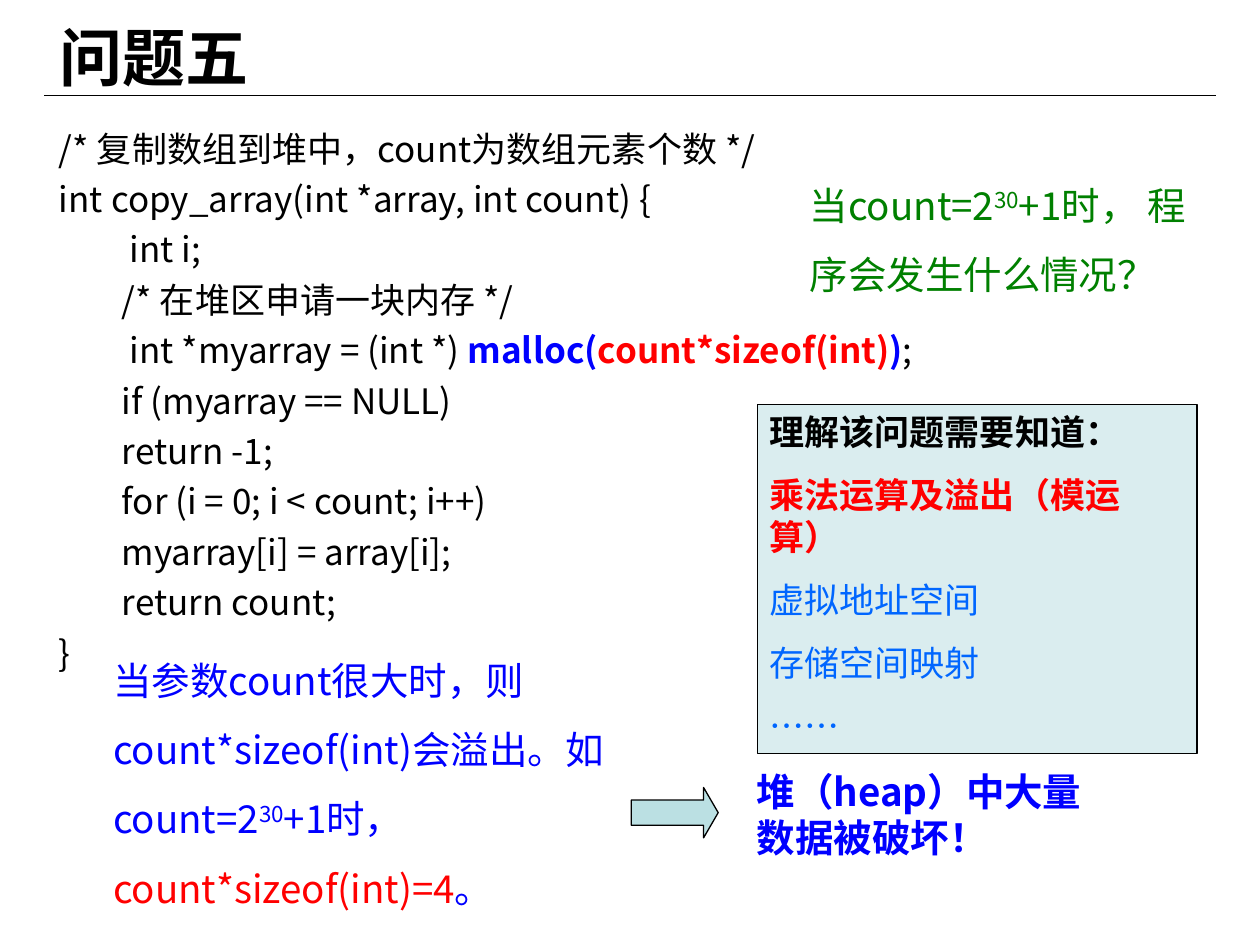
from lxml import etree
from pptx import Presentation
from pptx.dml.color import RGBColor
from pptx.enum import shapes, text
from pptx.oxml import ns
from pptx.util import Inches, Pt

COLORS = {
    "black": "000000", "blue": "0000FF", "red": "FF0000", "green": "008000",
    "sky": "0066FF", "panel": "DAEDEF", "arrow": "BBE0E3",
}
CJK_FONT = "Noto Sans CJK SC"

# Each code line: nesting level, then runs of (text, color, bold)
CODE = [
    (0, [("/* 复制数组到堆中，count为数组元素个数 */",)]),
    (0, [("int copy_array(int *array, int count) {",)]),
    (1, [(" int i;",)]),
    (1, [("/* 在堆区申请一块内存 */",)]),
    (1, [(" int *myarray = (int *) ",), ("malloc(", "blue", True),
         ("count*sizeof(int)", "red", True), (")", "blue", True), (";",)]),
    (1, [("if (myarray == NULL)",)]),
    (1, [("return -1;",)]),
    (1, [("for (i = 0; i < count; i++)",)]),
    (1, [("myarray[i] = array[i];",)]),
    (1, [("return count;",)]),
    (0, [("}",)]),
]
# Panel paragraphs: text, color, bold, font
TOPICS = [
    ("理解该问题需要知道：", "black", True, "Arial"),
    ("乘法运算及溢出（模运算）", "red", True, CJK_FONT),
    ("虚拟地址空间", "sky", False, CJK_FONT),
    ("存储空间映射", "sky", False, CJK_FONT),
    ("……", "sky", False, CJK_FONT),
]


def rgb(name):
    return RGBColor.from_string(COLORS[name])


def add_run(paragraph, content, color="black", bold=False, size=20,
            font=CJK_FONT, superscript=False):
    run = paragraph.add_run()
    run.text = content
    run.font.size = Pt(size)
    run.font.bold = bold
    run.font.color.rgb = rgb(color)
    run.font.name = font
    properties = run.font._element
    east_asian = etree.SubElement(properties, ns.qn("a:ea"))
    east_asian.set("typeface", CJK_FONT)
    if superscript:
        properties.set("baseline", "30000")


def add_text_box(slide, left, top, width, height, grow=True):
    box = slide.shapes.add_textbox(
        Inches(left), Inches(top), Inches(width), Inches(height))
    frame = box.text_frame
    frame.word_wrap = True
    if grow:
        frame.auto_size = text.MSO_AUTO_SIZE.SHAPE_TO_FIT_TEXT
        frame.vertical_anchor = text.MSO_ANCHOR.MIDDLE
    return frame


def add_note(slide, left, top, width, height, runs, spacing=1.5):
    """Add a one-paragraph remark of (text, color, bold, superscript) runs."""
    paragraph = add_text_box(slide, left, top, width, height).paragraphs[0]
    paragraph.line_spacing = spacing
    for content, color, bold, superscript in runs:
        add_run(paragraph, content, color, bold, 22, superscript=superscript)


def add_filled_shape(slide, kind, left, top, width, height, fill):
    shape = slide.shapes.add_shape(
        kind, Inches(left), Inches(top), Inches(width), Inches(height))
    shape.shadow.inherit = False
    shape.fill.solid()
    shape.fill.fore_color.rgb = rgb(fill)
    shape.line.color.rgb = rgb("black")
    shape.line.width = Pt(0.75)
    return shape


def next_paragraph(frame, index):
    return frame.add_paragraph() if index else frame.paragraphs[0]


def add_title(slide, content):
    title = slide.shapes.title
    title.left, title.top = Inches(0.37), Inches(0.16)
    title.width, title.height = Inches(9.13), Inches(0.57)
    frame = title.text_frame
    frame.auto_size = text.MSO_AUTO_SIZE.NONE
    frame.vertical_anchor = text.MSO_ANCHOR.MIDDLE
    paragraph = frame.paragraphs[0]
    paragraph.alignment = text.PP_ALIGN.LEFT
    add_run(paragraph, content, bold=True, size=36, font="Arial")


def add_rule(slide, left, right, y):
    rule = slide.shapes.add_connector(
        shapes.MSO_CONNECTOR.STRAIGHT,
        Inches(left), Inches(y), Inches(right), Inches(y))
    rule.line.color.rgb = rgb("black")
    rule.line.width = Pt(0.75)
    etree.SubElement(rule._element.spPr, ns.qn("a:effectLst"))


def add_code(slide):
    frame = add_text_box(slide, 0.37, 0.91, 9, 4.9, grow=False)
    for index, (level, runs) in enumerate(CODE):
        paragraph = next_paragraph(frame, index)
        paragraph.line_spacing = 1.15
        paragraph.space_before = Pt(1.2 if index else 0)
        properties = paragraph._p.get_or_add_pPr()
        properties.set("marL", str(Inches(0.5)))
        properties.set("indent", str(Inches(0 if level else -0.5)))
        for run in runs:
            add_run(paragraph, *run)


def add_topics_panel(slide):
    panel = add_filled_shape(slide, shapes.MSO_SHAPE.RECTANGLE,
                             6.01, 3.21, 3.49, 2.77, "panel")
    frame = panel.text_frame
    frame.word_wrap = True
    frame.auto_size = text.MSO_AUTO_SIZE.SHAPE_TO_FIT_TEXT
    frame.vertical_anchor = text.MSO_ANCHOR.TOP
    for index, (content, color, bold, font) in enumerate(TOPICS):
        paragraph = next_paragraph(frame, index)
        paragraph.alignment = text.PP_ALIGN.LEFT
        paragraph.space_before = Pt(12 if index else 0)
        add_run(paragraph, content, color, bold, font=font)


def main():
    presentation = Presentation()
    presentation.slide_width = Inches(10)
    presentation.slide_height = Inches(7.5)
    slide = presentation.slides.add_slide(presentation.slide_layouts[5])

    # Heading and code
    add_rule(slide, 0.35, 9.65, 0.76)
    add_title(slide, "问题五")
    add_code(slide)

    # Overflow explanation, arrow and consequence
    add_note(slide, 0.8, 4.98, 4.38, 2.3, [
        ("当参数count很大时，则count*sizeof(int)会溢出。如count=2",
         "blue", False, False),
        ("30", "blue", False, True),
        ("+1时， ", "blue", False, False),
        ("count*sizeof(int)=4", "red", False, False),
        ("。", "blue", False, False),
    ])
    arrow = add_filled_shape(slide, shapes.MSO_SHAPE.RIGHT_ARROW,
                             5.01, 6.25, 0.69, 0.4, "arrow")
    arrow.adjustments[1] = 0.29
    add_note(slide, 5.91, 6.04, 2.9, 0.84,
             [("堆（heap）中大量数据被破坏！", "blue", True, False)], spacing=1.0)

    # Background topics and question
    add_topics_panel(slide)
    add_note(slide, 6.33, 1.21, 3.27, 1.2, [
        ("当count=2", "green", False, False),
        ("30", "green", False, True),
        ("+1时， 程序会发生什么情况？", "green", False, False),
    ])

    presentation.save("out.pptx")


if __name__ == "__main__":
    main()
